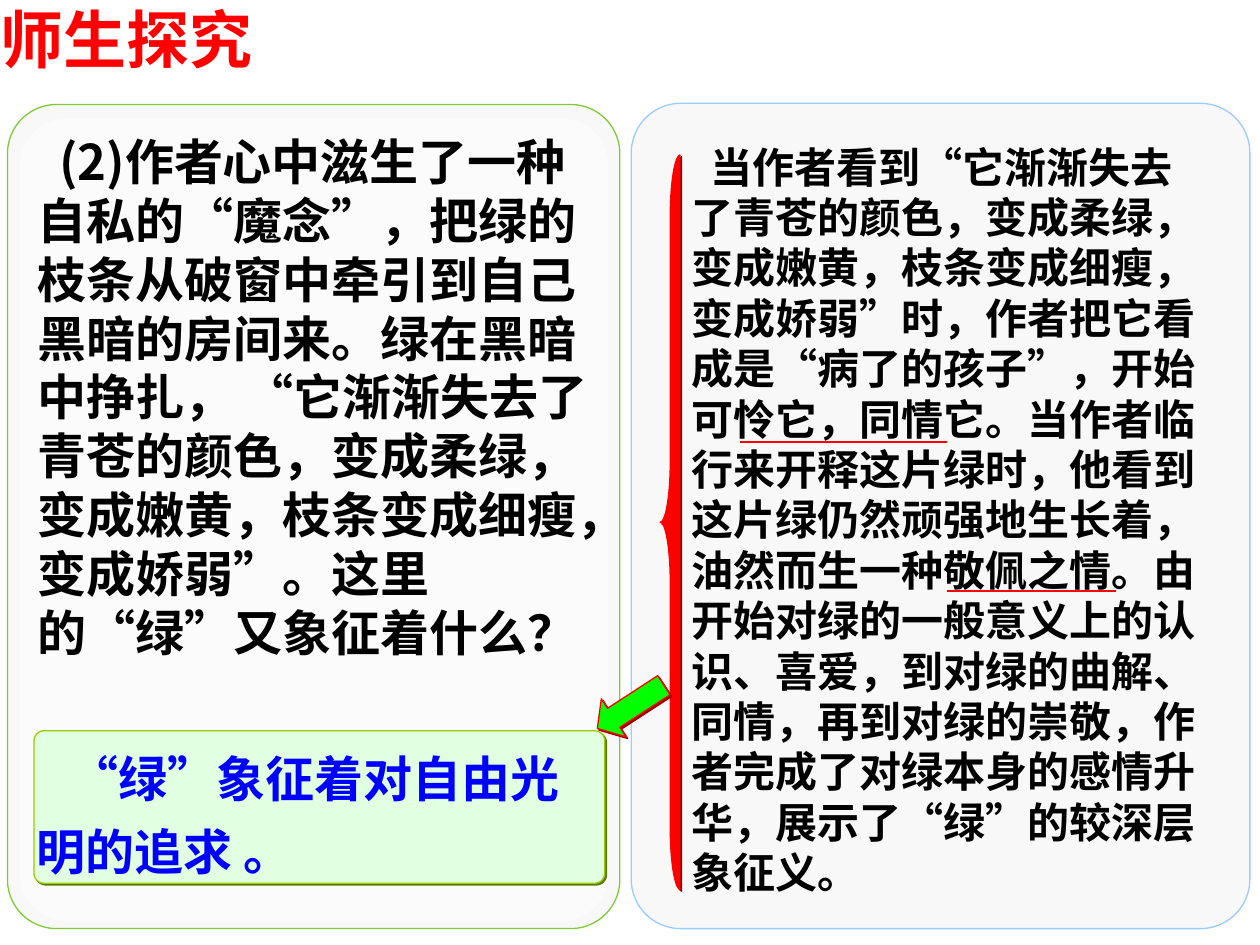
from lxml import etree
from pptx import Presentation
from pptx.dml.color import RGBColor
from pptx.enum.shapes import MSO_CONNECTOR as Connector, MSO_SHAPE as Shape
from pptx.enum.text import MSO_ANCHOR as Anchor, MSO_AUTO_SIZE as AutoSize, PP_ALIGN as Align
from pptx.oxml.ns import qn
from pptx.util import Pt

EMU_PER_PX = 9144  # 100 px to the inch
CJK_FONT = "Noto Sans CJK SC"
COLORS = {
    "red": "FF0000", "dark_red": "980000", "black": "000000", "blue": "0000FF",
    "panel": "F8F8F8", "white": "FFFFFF", "panel_blue": "99CCFF", "panel_green": "80CB35",
    "mint": "E1FFE1", "lime": "99CC00", "olive": "5B7900", "green": "00FF00",
    "text_shadow": "808080",
}

TITLE = "师生探究"
QUESTION = (
    "(2)作者心中滋生了一种自私的“魔念”，把绿的枝条从破窗中牵引到自己黑暗的房间来。"
    "绿在黑暗中挣扎， “它渐渐失去了青苍的颜色，变成柔绿，变成嫩黄，枝条变成细瘦，"
    "变成娇弱”。这里的“绿”又象征着什么？"
)
ANSWER = "“绿”象征着对自由光明的追求 。"
ANALYSIS = (
    "当作者看到“它渐渐失去了青苍的颜色，变成柔绿，变成嫩黄，枝条变成细瘦，变成娇弱”时，"
    "作者把它看成是“病了的孩子”，开始可怜它，同情它。当作者临行来开释这片绿时，"
    "他看到这片绿仍然顽强地生长着，油然而生一种敬佩之情。由开始对绿的一般意义上的认识、"
    "喜爱，到对绿的曲解、同情，再到对绿的崇敬，作者完成了对绿本身的感情升华，"
    "展示了“绿”的较深层象征义。"
)


def px(value):
    return value * EMU_PER_PX


def rgb(name):
    return RGBColor.from_string(COLORS[name])


def shadow_effects(color, distance=1.4):
    effects = etree.Element(qn("a:effectLst"))
    shadow = etree.SubElement(effects, qn("a:outerShdw"), blurRad="0",
                              dist=str(int(Pt(distance))), dir="2700000", algn="tl")
    etree.SubElement(shadow, qn("a:srgbClr"), val=COLORS[color])
    return effects


def place(shape, left, top, width, height):
    shape.left, shape.top = px(left), px(top)
    shape.width, shape.height = px(width), px(height)


def write_text(shape, text, size, color, font=CJK_FONT, anchor=Anchor.MIDDLE,
               insets=(0, 0), indent=0, line_spacing=1, shadow=False):
    frame = shape.text_frame
    frame.word_wrap = True
    frame.auto_size = AutoSize.NONE
    frame.vertical_anchor = anchor
    frame.margin_left = frame.margin_right = px(insets[0])
    frame.margin_top = frame.margin_bottom = px(insets[1])

    paragraph = frame.paragraphs[0]
    properties = paragraph._p.get_or_add_pPr()
    properties.set("marL", "0")
    properties.set("indent", str(px(indent)))
    etree.SubElement(properties, qn("a:buNone"))
    paragraph.alignment = Align.LEFT
    paragraph.space_before = Pt(0)
    paragraph.line_spacing = line_spacing

    run = paragraph.add_run()
    run.text = text
    run.font.size, run.font.bold = Pt(size), True
    run.font.color.rgb = rgb(color)
    run.font.name = font
    latin = run._r.rPr.find(qn("a:latin"))
    latin.addnext(etree.Element(qn("a:ea"), typeface=CJK_FONT))
    if shadow:
        latin.addprevious(shadow_effects("text_shadow", 2))


def fill_placeholder(placeholder, box, text, **text_format):
    place(placeholder, *box)
    write_text(placeholder, text, shadow=True, **text_format)
    element = placeholder._element
    element.getparent().append(element)  # bring in front of the panels


def add_block(slide, kind, box, fill, line=None, adjustments=(), shadow=None, alpha=None):
    shape = slide.shapes.add_shape(kind, *map(px, box))
    for index, value in enumerate(adjustments):
        shape.adjustments[index] = value
    shape.fill.solid()
    shape.fill.fore_color.rgb = rgb(fill)
    if alpha:
        color = shape._element.spPr.find(qn("a:solidFill"))[0]
        etree.SubElement(color, qn("a:alpha"), val=str(alpha * 1000))
    if line:
        shape.line.color.rgb = rgb(line)
        shape.line.width = Pt(0.75)
    else:
        shape.line.fill.background()
    shape.shadow.inherit = False
    if shadow:
        empty = shape._element.spPr.find(qn("a:effectLst"))
        empty.getparent().replace(empty, shadow_effects(shadow))
    return shape


def add_underline(slide, left, top, width):
    line = slide.shapes.add_connector(Connector.STRAIGHT, px(left), px(top),
                                      px(left + width), px(top))
    line.line.color.rgb = rgb("red")
    line.line.width = Pt(1)
    etree.SubElement(line._element.spPr, qn("a:effectLst"))


def build_question_panel(slide, placeholder, left, top, width, height):
    # Card with a paler inner sheet
    add_block(slide, Shape.ROUNDED_RECTANGLE, (left, top, width, height),
              "panel", "panel_green", [0.08])
    add_block(slide, Shape.ROUNDED_RECTANGLE,
              (left + 10, top + 11, width - 19, height - 17), "white",
              adjustments=[0.08], alpha=50)
    # Question
    fill_placeholder(placeholder, (left + 14, top + 16, 465, 431), QUESTION,
                     size=28, color="black", insets=(10, 5), indent=17)
    # Answer
    answer = add_block(slide, Shape.ROUNDED_RECTANGLE, (left + 21, top + 497, 453, 121),
                       "mint", "lime", [0.066], shadow="olive")
    write_text(answer, ANSWER, size=28, color="blue", indent=26, line_spacing=1.25)


def build_analysis_panel(slide, placeholder, left, top, width, height):
    add_block(slide, Shape.ROUNDED_RECTANGLE, (left, top, width, height),
              "panel", "panel_blue", [0.08])
    fill_placeholder(placeholder, (left + 38, top + 25, 431, 610), ANALYSIS,
                     size=24, color="black", insets=(10, 5), indent=15)
    # Key phrases
    add_underline(slide, left + 86, top + 269, 165)
    add_underline(slide, left + 251, top + 387, 134)
    # Brace and arrow leading to the answer
    add_block(slide, Shape.LEFT_BRACE, (left + 23, top + 41, 16, 583),
              "red", "red", [3.05, 0.5], shadow="dark_red")
    arrow = add_block(slide, Shape.LEFT_ARROW, (left - 32, top + 461, 63, 36),
                      "green", "red", [0.5, 0.431], shadow="dark_red")
    arrow.rotation = 327


def main():
    presentation = Presentation()
    presentation.slide_width, presentation.slide_height = px(1000), px(750)
    slide = presentation.slides.add_slide(presentation.slide_layouts[3])
    title, question, analysis = slide.placeholders

    fill_placeholder(title, (0, 0, 335, 60), TITLE, size=36, color="red",
                     font="Arial", anchor=Anchor.TOP)
    build_question_panel(slide, question, 6, 83, 486, 654)
    build_analysis_panel(slide, analysis, 501, 82, 491, 655)
    presentation.save("out.pptx")


if __name__ == "__main__":
    main()
